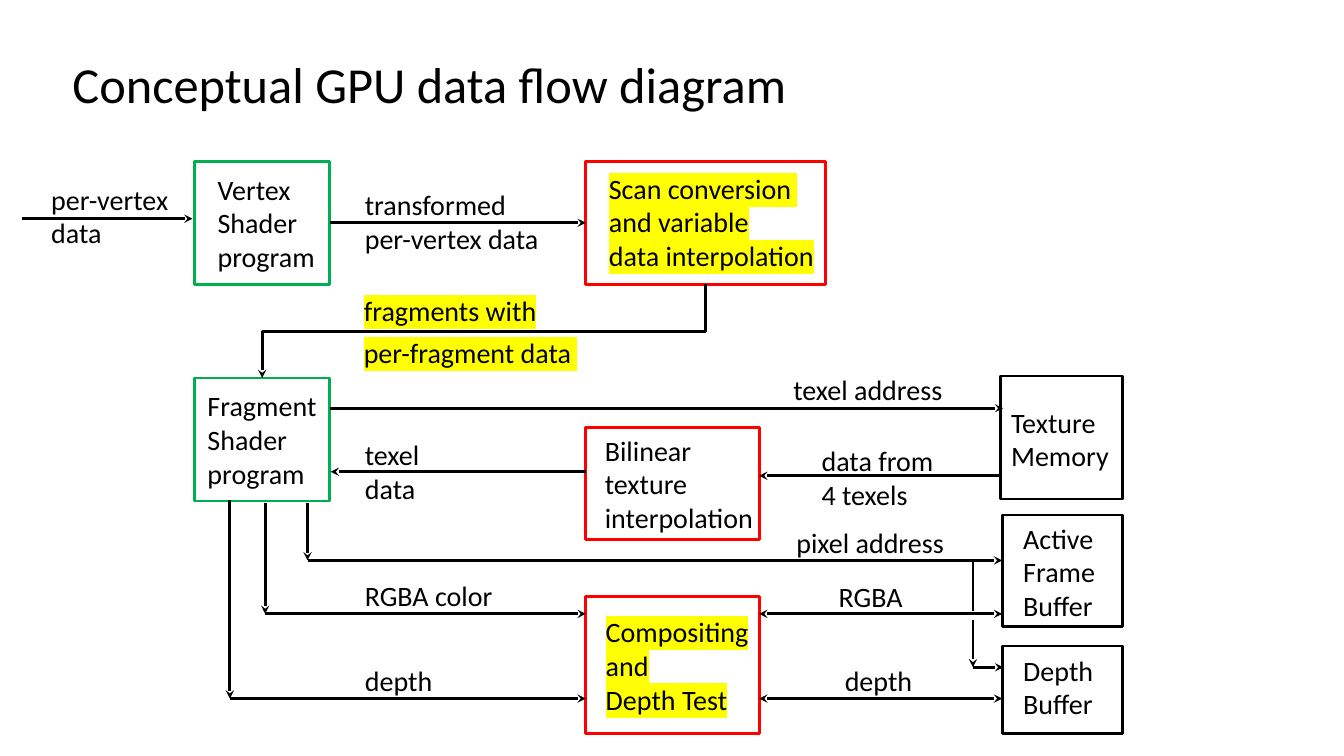
from lxml import etree
from pptx import Presentation
from pptx.dml.color import RGBColor
from pptx.enum.shapes import MSO_CONNECTOR, MSO_SHAPE
from pptx.enum.text import MSO_AUTO_SIZE
from pptx.oxml.ns import qn
from pptx.util import Inches, Pt

RECT = MSO_SHAPE.RECTANGLE
STRAIGHT, ELBOW = MSO_CONNECTOR.STRAIGHT, MSO_CONNECTOR.ELBOW
FIT = MSO_AUTO_SIZE.SHAPE_TO_FIT_TEXT
BLACK = RGBColor(0, 0, 0)
GREEN = RGBColor(0x00, 0xB0, 0x50)
RED = RGBColor(0xFF, 0, 0)
YELLOW = RGBColor(0xFF, 0xFF, 0)
FONT = "Calibri"
TEXT_SIZE, TITLE_SIZE, LINE_WIDTH = 20, 36, 2
LINE_HEIGHT, INSETS = 1 / 3, 0.1

# Columns (box edges and label starts) and rows (line heights), in inches
SHADER, SHADER_R = 1.93, 3.27
STAGE, STAGE_R = 5.81, 7.53
MEMORY, MEMORY_R = 9.94, 11.13
LABEL, MEMORY_TEXT = 3.52, 10.05
TOP, BOX_H = 1.6, 1.22
FRAGMENT, PIXEL, RGBA, DEPTH = 3.75, 5.56, 6.09, 6.93
DEPTH_DROP, RGBA_DROP, PIXEL_DROP, BUFFER_DROP = 2.28, 2.63, 3.05, 9.65

TITLE = "Conceptual GPU data flow diagram"

# left, top, right, height, outline
BOXES = [
    (SHADER, TOP, SHADER_R, BOX_H, GREEN),
    (SHADER, FRAGMENT, SHADER_R, BOX_H, GREEN),
    (STAGE, TOP, 8.19, BOX_H, RED),
    (STAGE, 4.24, STAGE_R, 1.11, RED),
    (STAGE, 5.92, STAGE_R, 1.36, RED),
    (9.92, 3.73, MEMORY_R, BOX_H, BLACK),
    (MEMORY, 5.11, MEMORY_R, 1.11, BLACK),
    (MEMORY, 6.41, MEMORY_R, 0.87, BLACK),
]

# lines of text, left, top, width
LABELS = [
    (["per-vertex", "data"], 0.41, 1.76, 1.38),
    (["Vertex ", "Shader", "program"], 2.06, 1.66, 1.17),
    (["transformed", "per-vertex data"], LABEL, 1.81, 1.96),
    (["Fragment ", "Shader", "program"], 1.96, 3.81, 1.36),
    (["texel address"], 7.77, 3.65, 1.81),
    (["Texture", "Memory"], 9.93, 3.97, 1.36),
    (["texel", "data"], LABEL, 4.29, 1.35),
    (["Bilinear", "texture", "interpolation"], 5.9, 4.25, 1.81),
    (["data from", "4 texels"], 8.05, 4.35, 1.35),
    (["pixel address "], 7.8, 5.16, 2.54),
    (["Active", "Frame", "Buffer"], MEMORY_TEXT, 5.12, 1.39),
    (["RGBA color"], LABEL, 5.69, 1.81),
    (["RGBA"], 8.22, 5.7, 1.81),
    (["depth"], LABEL, 6.53, 1.81),
    (["depth"], 8.28, 6.53, 1.81),
    (["Depth", "Buffer"], MEMORY_TEXT, 6.43, 1.39),
]
HIGHLIGHTED = [
    (["Scan conversion ", "and variable", "data interpolation"],
     5.94, 1.65, 2.29, 0),
    (["fragments with", "per-fragment data "], 3.51, 2.86, 2.54, 6),
    (["Compositing", "and", "Depth Test"], 5.91, 6.05, 2.07, 0),
]

# from x, from y, to x, to y
ARROWS = [
    (0.22, 2.17, 1.91, 2.17),
    (SHADER_R, 2.21, STAGE, 2.21),
    (SHADER_R, 4.05, 9.95, 4.05),
    (9.93, 4.72, STAGE_R, 4.72),
    (STAGE, 4.68, 3.28, 4.68),
    (PIXEL_DROP, 4.99, PIXEL_DROP, PIXEL),
    (PIXEL_DROP, PIXEL, MEMORY, PIXEL),
    (RGBA_DROP, 4.99, RGBA_DROP, RGBA),
    (RGBA_DROP, RGBA, STAGE, RGBA),
    (DEPTH_DROP, 4.96, DEPTH_DROP, DEPTH),
    (DEPTH_DROP, DEPTH, STAGE, DEPTH),
    (BUFFER_DROP, 6.15, BUFFER_DROP, 6.62),
    (BUFFER_DROP, 6.62, 9.95, 6.62),
]
TWO_WAY = [(STAGE_R, y, MEMORY, y) for y in (RGBA, DEPTH)]
PLAIN = [(BUFFER_DROP, PIXEL, BUFFER_DROP, 6.06)]
FRAGMENT_PATH = (7, 2.82, 2.6, 3.75)


def add_box(s, left, top, right, height, color):
    """Add an unfilled, outlined rectangle."""
    sp = s.shapes.add_shape(
        RECT, *map(Inches, (left, top, right - left, height)))
    sp.shadow.inherit = False
    sp.fill.background()
    sp.line.color.rgb = color
    sp.line.width = Pt(LINE_WIDTH)


def add_text(s, lines, left, top, width, space=0, size=TEXT_SIZE,
             highlight=None, wrap=True):
    """Add a text box with one paragraph per line."""
    height = len(lines) * (LINE_HEIGHT * size / TEXT_SIZE + space / 72) + INSETS
    tf = s.shapes.add_textbox(
        *map(Inches, (left, top, width, height))).text_frame
    tf.text = "\n".join(lines)
    tf.word_wrap = wrap
    tf.auto_size = FIT
    for p in tf.paragraphs:
        if space:
            p.space_after = Pt(space)
        font = p.runs[0].font
        font.size, font.name = Pt(size), FONT
        font.color.rgb = BLACK
        if highlight is not None:
            mark = etree.Element(qn("a:highlight"))
            etree.SubElement(mark, qn("a:srgbClr"), val=str(highlight))
            p.runs[0]._r.rPr.find(qn("a:solidFill")).addnext(mark)


def add_line(s, x1, y1, x2, y2, ends=("tailEnd",), kind=STRAIGHT):
    """Add a connector with stealth heads at the given ends."""
    line = s.shapes.add_connector(kind, *map(Inches, (x1, y1, x2, y2)))
    line.line.color.rgb = BLACK
    line.line.width = Pt(LINE_WIDTH)
    for end in ends:
        etree.SubElement(line.line._get_or_add_ln(), qn("a:" + end),
                         type="stealth")
    etree.SubElement(line._element.spPr, qn("a:effectLst"))
    return line


def add_down_elbow(s, x1, y1, x2, y2):
    """Add an elbow arrow leaving downwards: a sideways one turned by 90°."""
    cx, cy = (x1 + x2) / 2, (y1 + y2) / 2
    dx, dy = (y2 - y1) / 2, (x1 - x2) / 2
    line = add_line(s, cx - dx, cy - dy, cx + dx, cy + dy, kind=ELBOW)
    line._element.spPr.find(qn("a:xfrm")).set("rot", str(90 * 60000))


prs = Presentation()
prs.slide_width, prs.slide_height = Inches(13.33), Inches(7.5)
s = prs.slides.add_slide(prs.slide_layouts[6])

add_text(s, [TITLE], 0.62, 0.48, 7.35, size=TITLE_SIZE, wrap=False)
for box in BOXES:
    add_box(s, *box)
for arrow in ARROWS:
    add_line(s, *arrow)
for arrow in TWO_WAY:
    add_line(s, *arrow, ends=("headEnd", "tailEnd"))
for line in PLAIN:
    add_line(s, *line, ends=())
add_down_elbow(s, *FRAGMENT_PATH)
for label in LABELS:
    add_text(s, *label)
for label in HIGHLIGHTED:
    add_text(s, *label, highlight=YELLOW)

prs.save("out.pptx")
